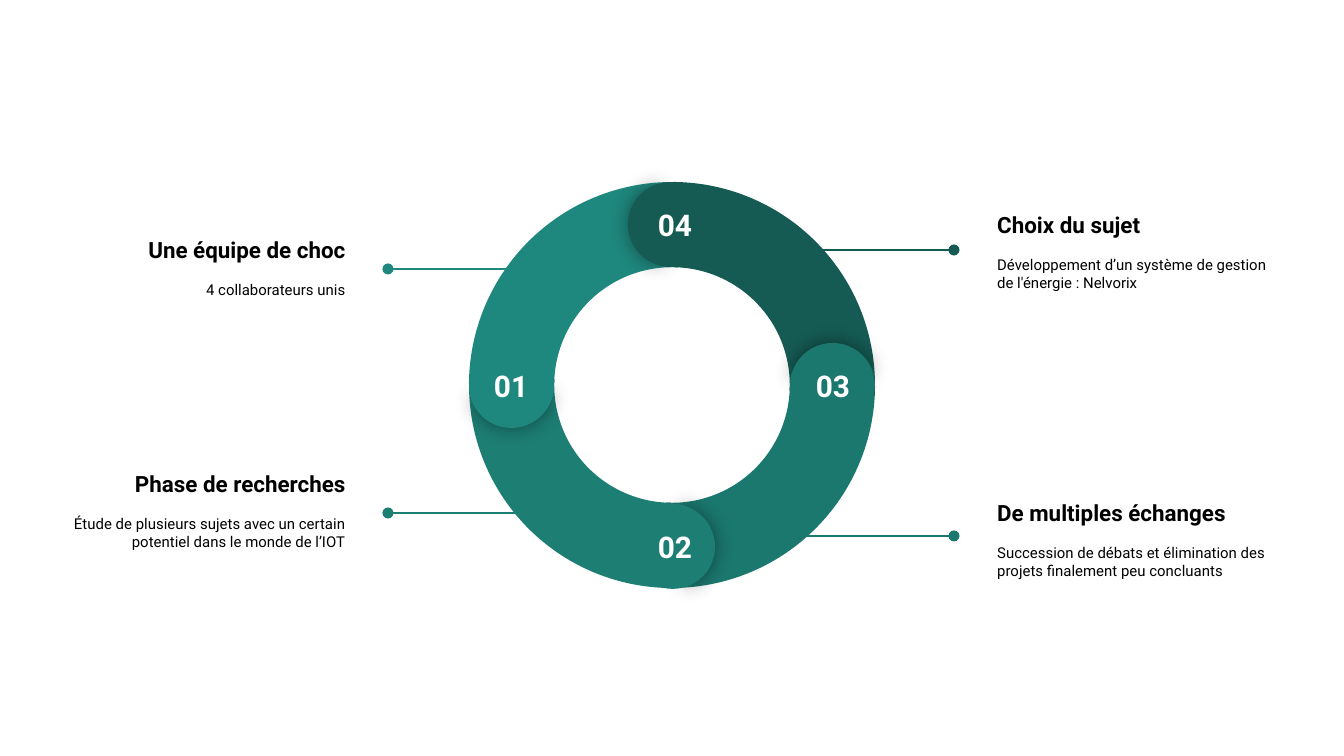
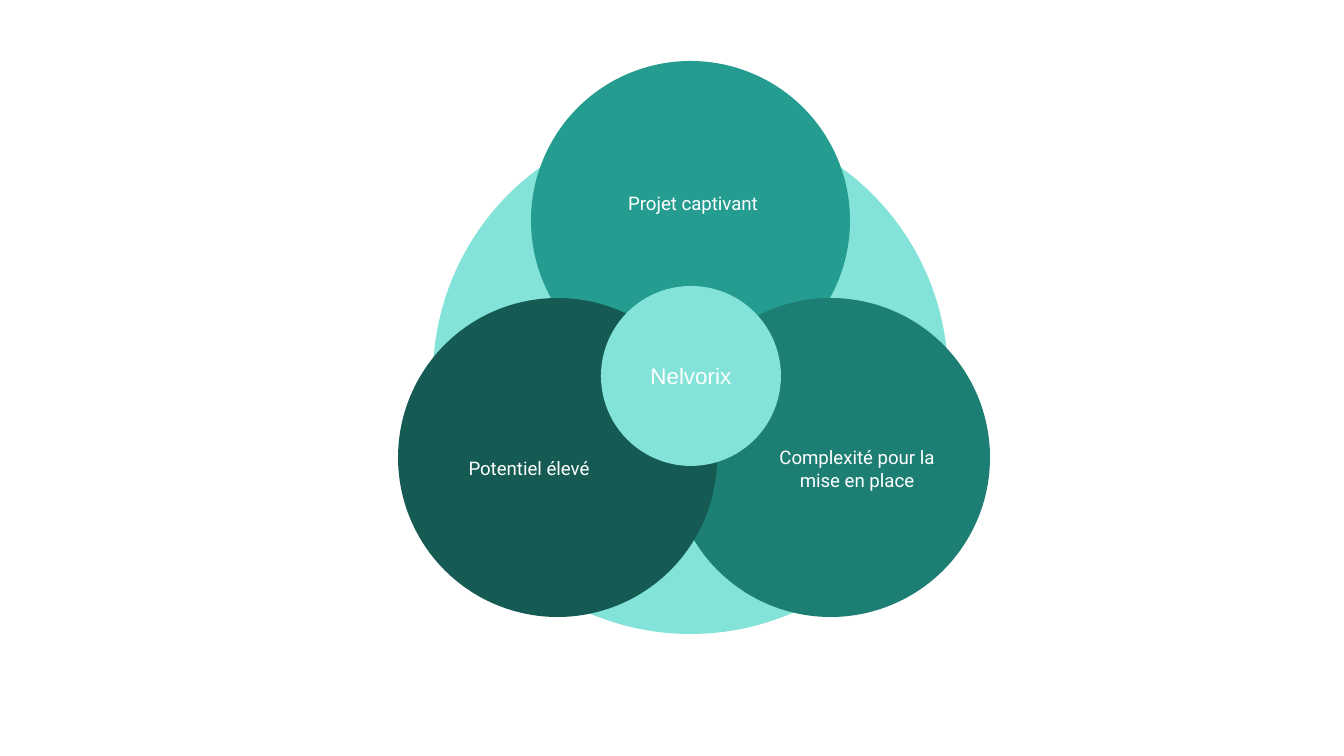
"""Build a four-step ring slide and an overlapping-circles slide."""
from lxml import etree
from pptx import Presentation
from pptx import util as u
from pptx.dml.color import RGBColor
from pptx.enum import shapes, text
from pptx.oxml import ns

PX = 914400 / 134.4
COLORS = {
    "step 1": "1F887E", "step 2": "1D7E74", "step 3": "1B786E", "step 4": "155B54",
    "bright": "249C90", "light": "83E3D9", "white": "FFFFFF", "black": "000000",
}
FONT = "Roboto"
PROJECT = "Nelvorix"
LEFT, CENTER, RIGHT = text.PP_ALIGN.LEFT, text.PP_ALIGN.CENTER, text.PP_ALIGN.RIGHT
TOP, MIDDLE = text.MSO_ANCHOR.TOP, text.MSO_ANCHOR.MIDDLE
RING = (469, 182, 406, 406)
ARC_ADJUSTMENTS = (126.22, 181.76, 0.21)
CAP_BACK = (61.9, 149.96)
CAP_FRONT = (40.28, 171.84)
CAP_SIZE = 85


def px(*lengths):
    """Turn pixel lengths into a list of EMU."""
    return [u.Emu(round(length * PX)) for length in lengths]


def rgb(name):
    """Look up a colour by name."""
    return RGBColor.from_string(COLORS[name])


def add_xml(parent, tag, **attributes):
    """Append a drawing element and return it."""
    return etree.SubElement(parent, ns.qn(tag), attributes)


def add_shape(slide, kind, box, color, rotation=0, adjustments=()):
    """Add a filled shape without outline or shadow."""
    shape = slide.shapes.add_shape(kind, *px(*box))
    shape.shadow.inherit = False
    shape.fill.solid()
    shape.fill.fore_color.rgb = rgb(color)
    shape.line.fill.background()
    shape.rotation = rotation
    for index, value in enumerate(adjustments):
        shape.adjustments[index] = value
    return shape


def add_glow(shape):
    """Give a shape a soft black shadow."""
    effects = shape._element.spPr.find(ns.qn("a:effectLst"))
    shadow = add_xml(effects, "a:outerShdw", blurRad=str(u.Pt(11.2)), dist="0", dir="0",
                     algn="ctr", rotWithShape="0")
    color = add_xml(shadow, "a:srgbClr", val=COLORS["black"])
    add_xml(color, "a:alpha", val="43000")


def write(frame, content, size=10, color="white", font=FONT, bold=False, align=CENTER,
          anchor=MIDDLE, before=0, new=False):
    """Write one formatted paragraph into a text frame."""
    frame.word_wrap = True
    frame.vertical_anchor = anchor
    frame.margin_left = frame.margin_right = u.Inches(0.1)
    frame.margin_top = frame.margin_bottom = u.Inches(0.1)
    paragraph = frame.add_paragraph() if new else frame.paragraphs[0]
    paragraph.alignment = align
    paragraph.space_before = u.Pt(before)
    run = paragraph.add_run()
    run.text = content
    run.font.name = font
    run.font.size = u.Pt(size)
    run.font.bold = bold
    run.font.color.rgb = rgb(color)


def add_text(slide, box, content, **style):
    """Add a text box and return its frame."""
    frame = slide.shapes.add_textbox(*px(*box)).text_frame
    write(frame, content, **style)
    return frame


def add_leader(slide, start, end, y, color):
    """Add a level line that ends in a dot."""
    line = slide.shapes.add_connector(shapes.MSO_CONNECTOR.STRAIGHT, *px(start, y, end, y))
    line.line.color.rgb = rgb(color)
    line.line.width = u.Pt(0.75)
    add_xml(line.line._get_or_add_ln(), "a:tailEnd", type="oval")
    add_xml(line._element.spPr, "a:effectLst")


def add_cap(slide, number, x, y, label_x, turn):
    """Add the round, numbered end of a ring segment."""
    box, color = (x, y, CAP_SIZE, CAP_SIZE), f"step {number}"
    pie = shapes.MSO_SHAPE.PIE
    add_glow(add_shape(slide, pie, box, color, turn + 0.7, CAP_BACK))
    add_shape(slide, pie, box, color, (turn + 180) % 360, CAP_FRONT)
    add_text(slide, (label_x, y + 11, 74, 39), f"{number:02}", size=16, bold=True, anchor=TOP)


def add_callout(slide, x, y, heading, body, align):
    """Add a heading with its description."""
    style = {"color": "black", "align": align}
    frame = add_text(slide, (x, y, 312, 190), heading, size=12, bold=True, **style)
    write(frame, body, size=8, before=9.4, new=True, **style)


def build_steps(slide):
    """Draw the ring of four steps with its callouts."""
    caps = [(469, 343, 474), (630, 504, 638), (790, 343, 796), (628, 182, 638)]
    turns = [270, 180, 90, 0]
    callouts = [
        (47, 172, "Une équipe de choc", "4 collaborateurs unis", RIGHT),
        (47, 415, "Phase de recherches",
         "Étude de plusieurs sujets avec un certain potentiel dans le monde de l’IOT", RIGHT),
        (984, 444, "De multiples échanges",
         "Succession de débats et élimination des projets finalement peu concluants", LEFT),
        (984, 156, "Choix du sujet",
         f"Développement d’un système de gestion de l'énergie : {PROJECT}", LEFT),
    ]
    leaders = [(542, 388, 269), (581, 388, 513), (766, 954, 536), (766, 954, 250)]
    for number, turn in enumerate(turns, 1):
        add_shape(slide, shapes.MSO_SHAPE.BLOCK_ARC, RING, f"step {number}", turn + 60,
                  ARC_ADJUSTMENTS)
    for number, (cap, turn) in enumerate(zip(caps, turns), 1):
        add_cap(slide, number, *cap, turn)
    for number, (callout, leader) in enumerate(zip(callouts, leaders), 1):
        add_callout(slide, *callout)
        add_leader(slide, *leader, f"step {number}")


def build_circles(slide):
    """Draw three themes around the project name."""
    oval = shapes.MSO_SHAPE.OVAL
    themes = [
        (531, 61, "bright", 583, 151, "Projet captivant"),
        (671, 298, "step 2", 747, 417, "Complexité pour la mise en place"),
        (398, 298, "step 4", 419, 417, "Potentiel élevé"),
    ]
    add_shape(slide, oval, (433, 119, 515, 515), "light")
    for x, y, color, label_x, label_y, label in themes:
        add_shape(slide, oval, (x, y, 319, 319), color)
        add_text(slide, (label_x, label_y, 220, 103), label)
    center = add_shape(slide, oval, (601, 286, 180, 180), "light")
    write(center.text_frame, PROJECT, size=12, font="Arial")


def main():
    """Build and save the presentation."""
    presentation = Presentation()
    presentation.slide_width, presentation.slide_height = px(1344, 756)
    blank = presentation.slide_layouts[6]
    for build in (build_steps, build_circles):
        build(presentation.slides.add_slide(blank))
    presentation.save("out.pptx")


if __name__ == "__main__":
    main()
